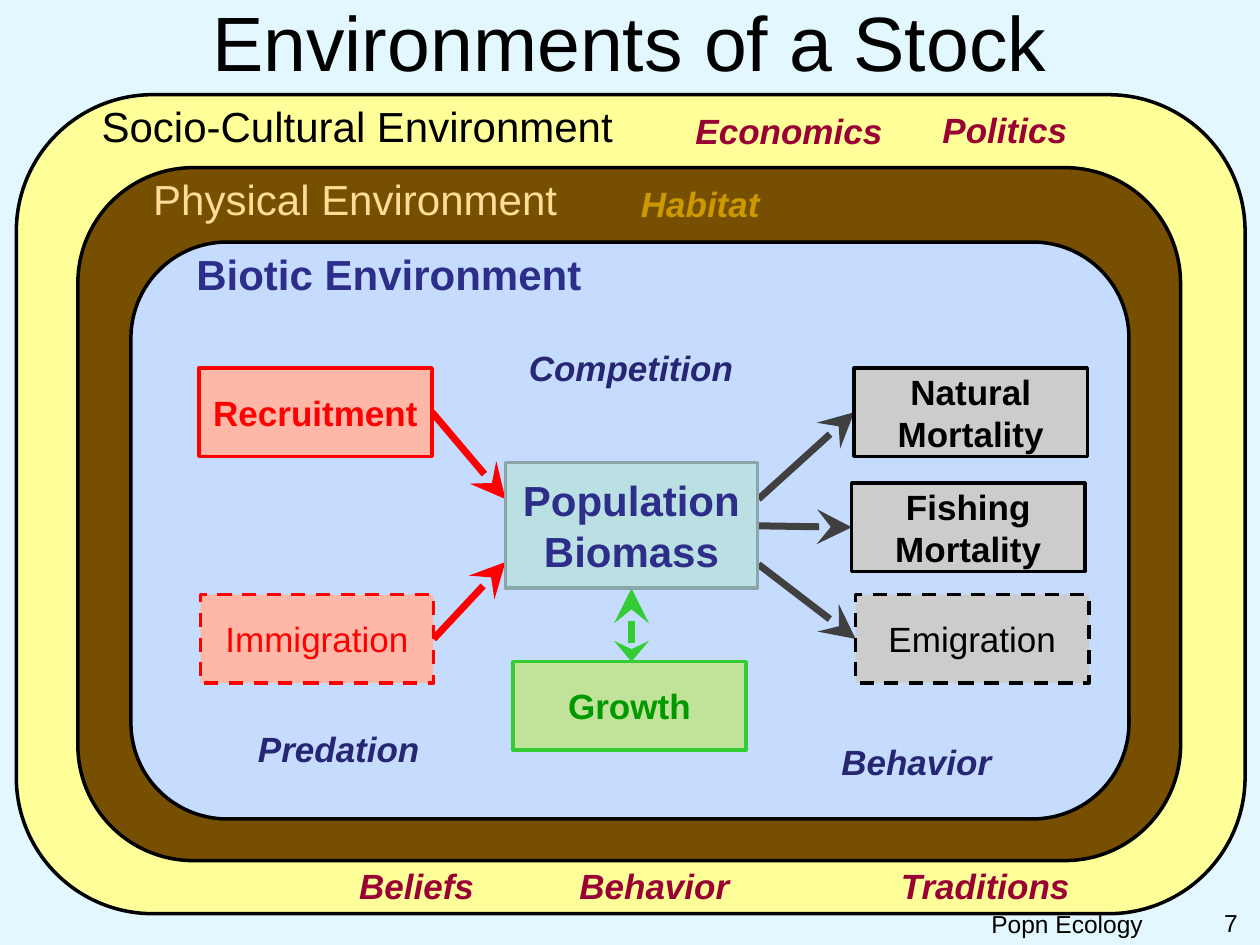
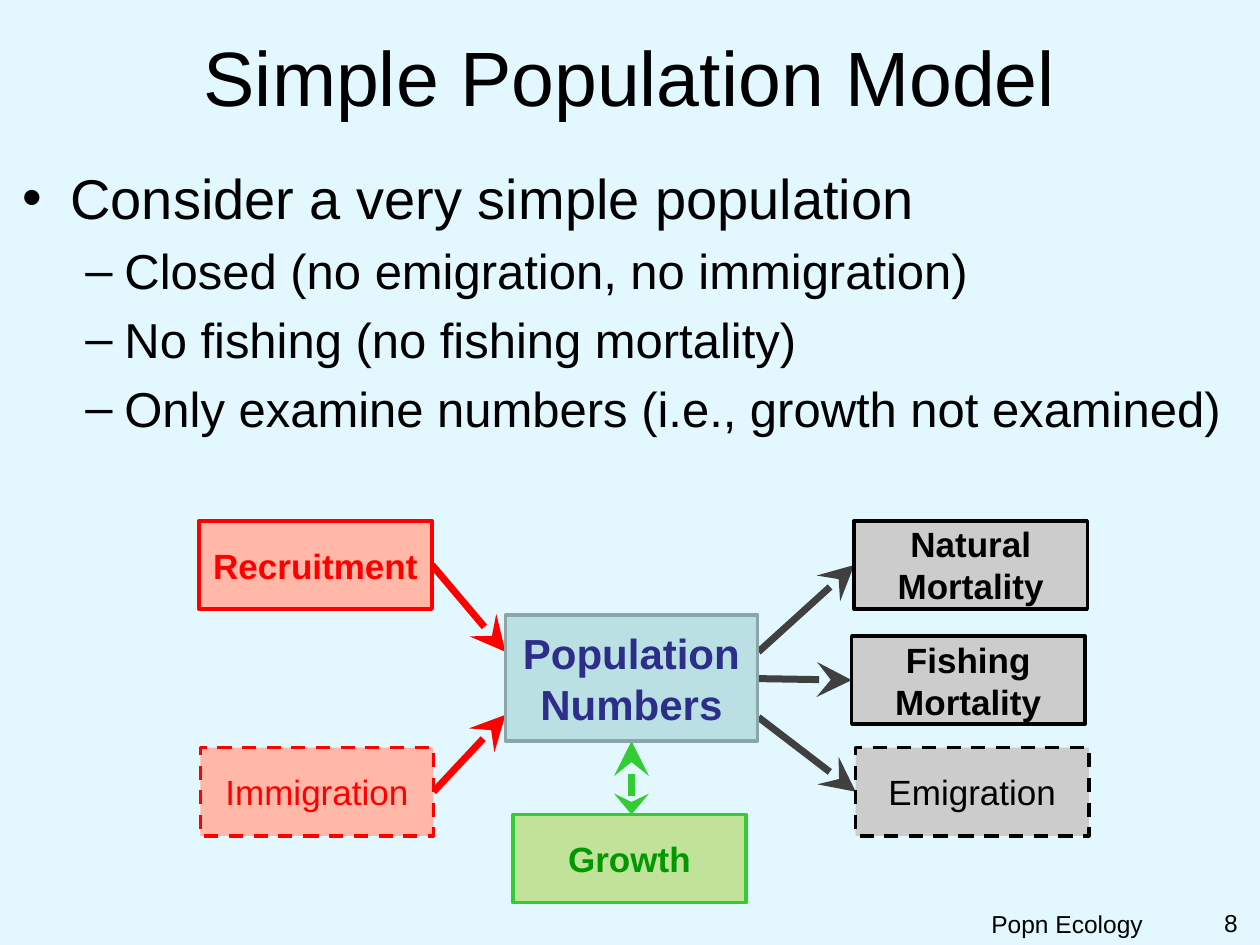
"""Build two slides on the environments of a fish stock and a simple population model."""
from lxml.etree import SubElement
from pptx import Presentation
from pptx.dml.color import RGBColor
from pptx.enum.dml import MSO_LINE
from pptx.enum.shapes import MSO_CONNECTOR, MSO_SHAPE
from pptx.enum.text import MSO_ANCHOR, PP_ALIGN
from pptx.oxml.ns import qn
from pptx.util import Cm, Pt

BLACK, RED, GREEN, DARK_GRAY = "000000", "FF0000", "33CC33", "404040"
PINK, LIME, GRAY = "FFB8A7", "C0E399", "CCCCCC"
INDIGO, NAVY, MAROON, GOLD = "2D2D8A", "262673", "990033", "CC9900"


def rgb(value):
    return RGBColor.from_string(value)


def write(shape, text, size=20, color=BLACK, bold=False, italic=False,
          align=PP_ALIGN.LEFT, anchor=MSO_ANCHOR.TOP, wrap=True):
    frame = shape.text_frame
    frame.word_wrap = wrap
    frame.vertical_anchor = anchor
    frame.text = text
    for paragraph in frame.paragraphs:
        paragraph.alignment = align
        for run in paragraph.runs:
            run.font.name = "Arial"
            run.font.size = Pt(size)
            run.font.bold = bold
            run.font.italic = italic
            run.font.color.rgb = rgb(color)


topics = [
    {"title": "Environments of a Stock", "title_top": 0, "title_height": 1.65,
     "number": "7", "measure": "Biomass", "diagram_top": 7.42,
     "environments": [
         ("Socio-Cultural Environment", 0.33, 1.91, 24.77, 16.51, "FFFF99", BLACK, False, 1.8, 10.92),
         ("Physical Environment", 1.57, 3.38, 22.23, 13.97, "764F00", "FFDC97", False, 2.84, 8.74),
         ("Biotic Environment", 2.64, 4.88, 20.12, 11.63, "C5DCFF", INDIGO, True, 3.71, 8.36)],
     "factors": [
         ("Competition", 10.41, 6.86, 4.67, NAVY),
         ("Predation", 4.95, 14.55, 3.81, NAVY),
         ("Behavior", 16.71, 14.81, 3.56, NAVY),
         ("Habitat", 12.67, 3.56, 2.92, GOLD),
         ("Economics", 13.77, 2.08, 4.32, MAROON),
         ("Politics", 18.75, 2.06, 3.05, MAROON),
         ("Beliefs", 6.99, 17.3, 2.84, MAROON),
         ("Behavior", 11.43, 17.3, 3.56, MAROON),
         ("Traditions", 17.91, 17.3, 3.94, MAROON)],
     "points": []},
    {"title": "Simple Population Model", "title_top": 0.33, "title_height": 2.41,
     "number": "8", "measure": "Numbers", "diagram_top": 10.5,
     "environments": [], "factors": [],
     "points": [
         ("Consider a very simple population", 0),
         ("Closed (no emigration, no immigration)", 1),
         ("No fishing (no fishing mortality)", 1),
         ("Only examine numbers (i.e., growth not examined)", 1)]},
]

flows = [
    (8.71, 0.89, 10.19, 2.64, RED),
    (8.74, 5.46, 10.19, 3.91, RED),
    (12.73, 5.92, 12.73, 4.44, GREEN),
    (15.29, 2.64, 17.22, 0.89, DARK_GRAY),
    (15.29, 3.18, 17.17, 3.21, DARK_GRAY),
    (15.29, 3.96, 17.25, 5.46, DARK_GRAY),
]

processes = [
    ("Recruitment", 4.01, 0, 4.7, 1.78, PINK, RED, RED, 20, True),
    ("Immigration", 4.04, 4.57, 4.7, 1.78, PINK, RED, RED, 20, False),
    ("Growth", 10.34, 5.92, 4.7, 1.78, LIME, GREEN, "009900", 20, True),
    ("Natural Mortality", 17.22, 0, 4.7, 1.78, GRAY, BLACK, BLACK, 20, True),
    ("Fishing Mortality", 17.17, 2.32, 4.7, 1.78, GRAY, BLACK, BLACK, 20, True),
    ("Emigration", 17.25, 4.57, 4.7, 1.78, GRAY, BLACK, BLACK, 20, False),
]

bullet_levels = [("•", 32, 0.97, -0.97), ("–", 28, 2.06, -0.79)]

prs = Presentation()
prs.slide_width, prs.slide_height = Cm(25.4), Cm(19.05)

for topic in topics:
    slide = prs.slides.add_slide(prs.slide_layouts[6])
    slide.background.fill.solid()
    slide.background.fill.fore_color.rgb = rgb("E2F7FE")
    shapes = slide.shapes

    heading = shapes.add_textbox(Cm(0.18), Cm(topic["title_top"]), Cm(25.04), Cm(topic["title_height"]))
    write(heading, topic["title"], size=44, align=PP_ALIGN.CENTER, anchor=MSO_ANCHOR.MIDDLE)

    for name, left, top, width, height, fill, color, bold, label_left, label_width in topic["environments"]:
        environment = shapes.add_shape(MSO_SHAPE.ROUNDED_RECTANGLE, Cm(left), Cm(top), Cm(width), Cm(height))
        environment.shadow.inherit = False
        environment.fill.solid()
        environment.fill.fore_color.rgb = rgb(fill)
        environment.line.color.rgb = rgb(BLACK)
        environment.line.width = Pt(2)
        label = shapes.add_textbox(Cm(label_left), Cm(top), Cm(label_width), Cm(1.27))
        write(label, name, size=24, color=color, bold=bold, wrap=False)

    if topic["points"]:
        outline = shapes.add_textbox(Cm(0.2), Cm(3.18), Cm(24.97), Cm(6.35))
        write(outline, "\n".join(text for text, level in topic["points"]))
        for index, (text, level) in enumerate(topic["points"]):
            mark, size, margin, indent = bullet_levels[level]
            paragraph = outline.text_frame.paragraphs[index]
            properties = paragraph._p.get_or_add_pPr()
            properties.set("marL", str(Cm(margin)))
            properties.set("indent", str(Cm(indent)))
            SubElement(properties, qn("a:buFont")).set("typeface", "Arial")
            SubElement(properties, qn("a:buChar")).set("char", mark)
            paragraph.level = level
            paragraph.runs[0].font.size = Pt(size)
            if index:
                paragraph.space_before = Pt(size * 0.2)

    offset = topic["diagram_top"]
    for start_x, start_y, end_x, end_y, color in flows:
        flow = shapes.add_connector(MSO_CONNECTOR.STRAIGHT, Cm(start_x), Cm(offset + start_y),
                                    Cm(end_x), Cm(offset + end_y))
        flow.line.color.rgb = rgb(color)
        flow.line.width = Pt(4)
        stroke = flow.line._get_or_add_ln()
        if color == GREEN:
            SubElement(stroke, qn("a:headEnd"), type="stealth", w="lg", len="med")
        SubElement(stroke, qn("a:tailEnd"), type="stealth", w="lg", len="lg")
        SubElement(flow._element.spPr, qn("a:effectLst"))

    population = ("Population\n" + topic["measure"], 10.19, 1.9, 5.08, 2.54,
                  "BBE0E3", "8AA6A8", INDIGO, 24, True)
    for name, left, top, width, height, fill, border, color, size, bold in [population] + processes:
        process = shapes.add_shape(MSO_SHAPE.RECTANGLE, Cm(left), Cm(offset + top), Cm(width), Cm(height))
        process.shadow.inherit = False
        process.fill.solid()
        process.fill.fore_color.rgb = rgb(fill)
        process.line.color.rgb = rgb(border)
        process.line.width = Pt(2)
        if not bold:
            process.line.dash_style = MSO_LINE.DASH
        write(process, name, size=size, color=color, bold=bold,
              align=PP_ALIGN.CENTER, anchor=MSO_ANCHOR.MIDDLE)

    for name, left, top, width, color in topic["factors"]:
        factor = shapes.add_textbox(Cm(left), Cm(top), Cm(width), Cm(1.12))
        write(factor, name, color=color, bold=True, italic=True, wrap=False)

    for text, left, top, width, height in [("Popn Ecology", 15.24, 18.21, 8.05, 0.64),
                                           (topic["number"], 23.5, 18.19, 1.7, 0.86)]:
        footer = shapes.add_textbox(Cm(left), Cm(top), Cm(width), Cm(height))
        write(footer, text, size=14, align=PP_ALIGN.RIGHT)

prs.save("out.pptx")
